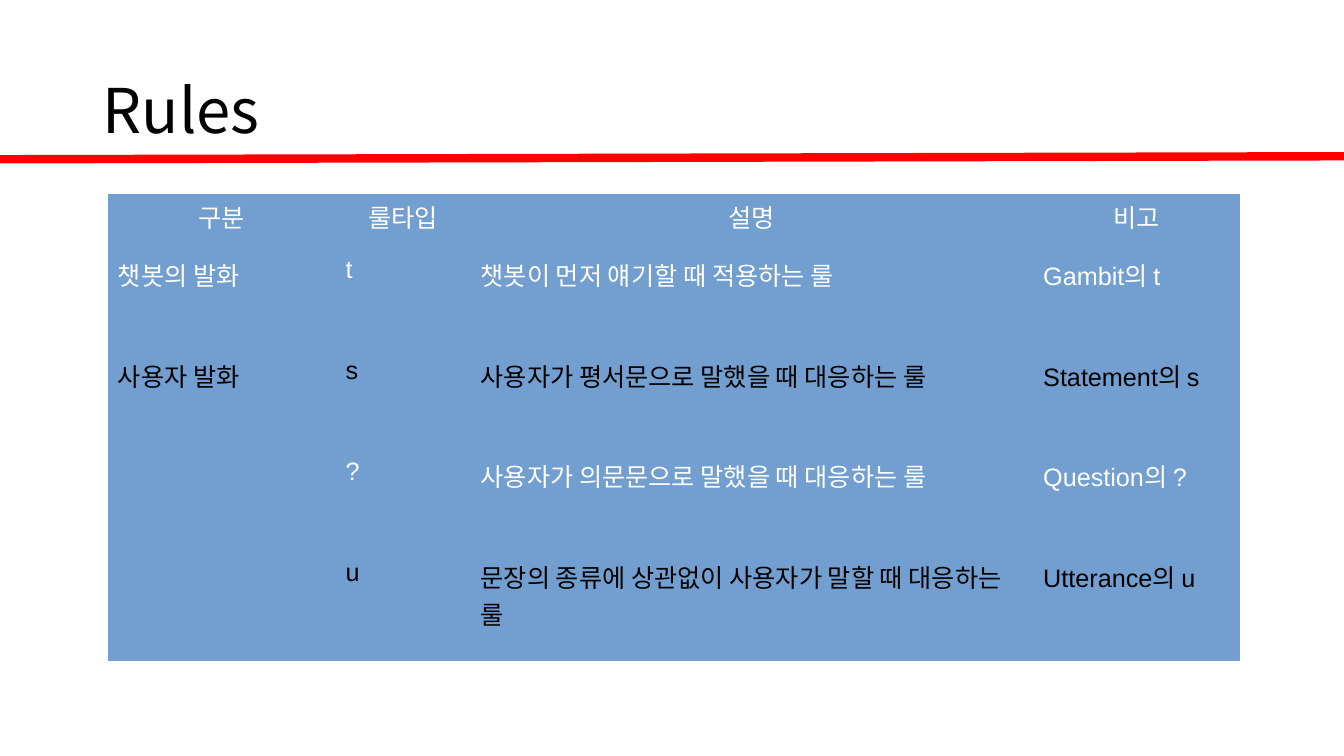
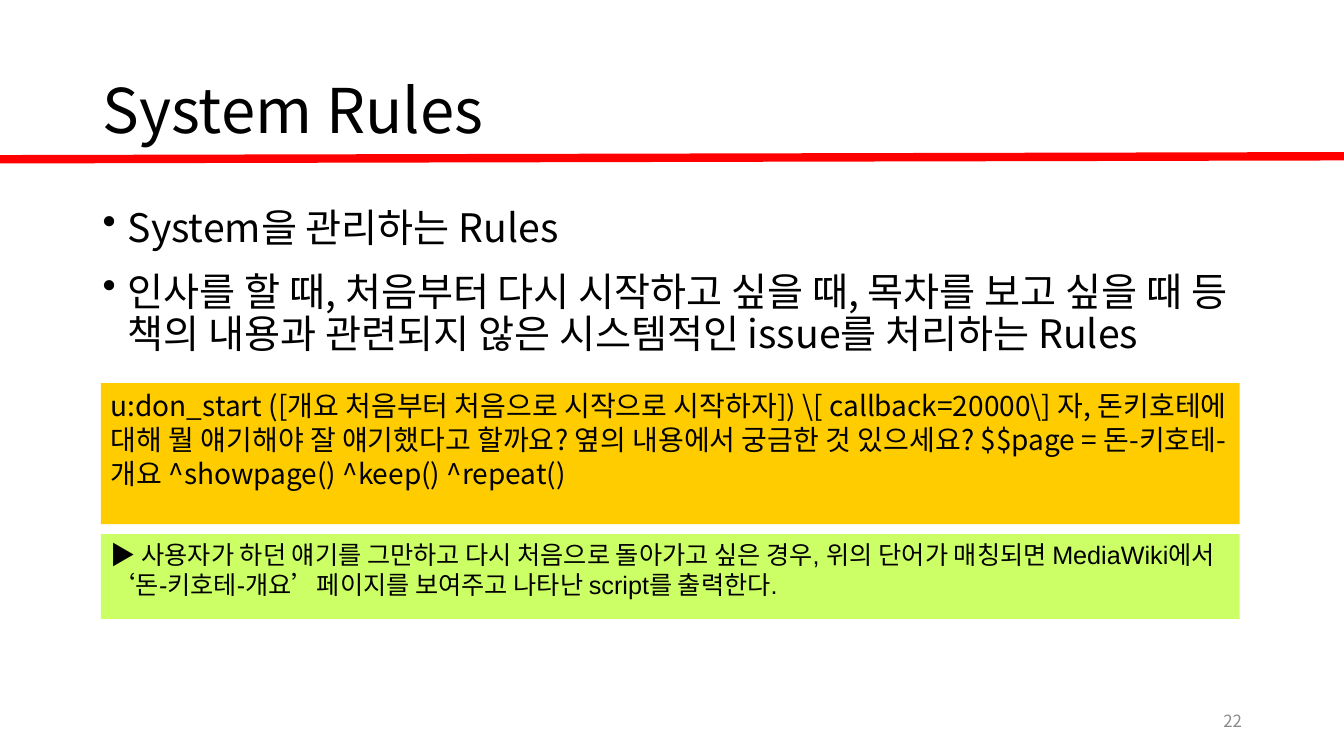
"""Build two slides about chatbot rules."""
from dataclasses import dataclass
from typing import Any, Optional

from lxml.etree import SubElement
from pptx import Presentation
from pptx.dml.color import RGBColor
from pptx.enum.shapes import MSO_CONNECTOR, MSO_SHAPE
from pptx.enum.text import MSO_ANCHOR, PP_ALIGN
from pptx.oxml.ns import qn
from pptx.util import Pt

BLACK = RGBColor(0x00, 0x00, 0x00)
WHITE = RGBColor(0xFF, 0xFF, 0xFF)
RED = RGBColor(0xFF, 0x00, 0x00)
BLUE = RGBColor(0x72, 0x9F, 0xCF)
ORANGE = RGBColor(0xFF, 0xCC, 0x00)
LIME = RGBColor(0xCC, 0xFF, 0x66)
GRAY = RGBColor(0x8B, 0x8B, 0x8B)
NOTO = "Noto Sans CJK KR"
ARIAL = "Arial"
NO_GRID_STYLE = "{2D5ABB26-0587-4C30-8999-92F81FD0307C}"

COLUMNS = (162.72, 96.48, 401.76, 147.6)
ROWS = (41.04, 72, 72, 72, 77.04)
RULES = (
    ("구분", "룰타입", "설명", "비고"),
    ("챗봇의 발화", "t", "챗봇이 먼저 얘기할 때 적용하는 룰", "Gambit의 t"),
    ("사용자 발화", "s", "사용자가 평서문으로 말했을 때 대응하는 룰", "Statement의 s"),
    ("", "?", "사용자가 의문문으로 말했을 때 대응하는 룰", "Question의 ?"),
    ("", "u", "문장의 종류에 상관없이 사용자가 말할 때 대응하는 룰", "Utterance의 u"),
)
ROW_COLORS = (WHITE, WHITE, BLACK, WHITE, BLACK)
BULLETS = (
    "System을 관리하는 Rules",
    "인사를 할 때, 처음부터 다시 시작하고 싶을 때, 목차를 보고 싶을 때 "
    "등 책의 내용과 관련되지 않은 시스템적인 issue를 처리하는 Rules",
)
CODE = (
    "u:don_start ([개요 처음부터 처음으로 시작으로 시작하자]) \\[ callback=20000\\] 자, "
    "돈키호테에 대해 뭘 얘기해야 잘 얘기했다고 할까요? 옆의 내용에서 궁금한 것 있으세요? "
    "$$page = 돈-키호테-개요 ^showpage() ^keep() ^repeat()"
)
NOTE = (
    "▶ 사용자가 하던 얘기를 그만하고 다시 처음으로 돌아가고 싶은 경우, 위의 단어가 매칭되면 "
    "MediaWiki에서 ‘돈-키호테-개요’페이지를 보여주고 나타난 script를 출력한다."
)


@dataclass(frozen=True)
class Style:
    """Format of a paragraph and its text."""
    size: float
    font: str = NOTO
    color: RGBColor = BLACK
    align: PP_ALIGN = PP_ALIGN.LEFT
    spacing: Any = 1.0
    bullet: bool = False


@dataclass(frozen=True)
class Box:
    """Place, text and look of a box."""
    left: float
    top: float
    width: float
    height: float
    lines: tuple[str, ...]
    style: Style
    anchor: MSO_ANCHOR = MSO_ANCHOR.TOP
    fill: Optional[RGBColor] = None


TITLE = Style(44, spacing=0.9)
SYSTEM_BOXES = (
    Box(66.24, 145, 828, 342.72, BULLETS, Style(28, spacing=Pt(30), bullet=True)),
    Box(678.24, 500.4, 216, 28.8, ("22",),
        Style(12, color=GRAY, align=PP_ALIGN.RIGHT), MSO_ANCHOR.MIDDLE),
    Box(72, 273.6, 813.6, 100.8, (CODE,), Style(20, spacing=Pt(24.3)), fill=ORANGE),
    Box(72, 381.6, 813.6, 60.48, (NOTE,), Style(18, ARIAL, spacing=Pt(21.4)), fill=LIME),
)


def set_all(target: Any, values: dict[str, Any]) -> None:
    """Set each named attribute of the target."""
    for name, value in values.items():
        setattr(target, name, value)


def write(p: Any, text: str, style: Style) -> None:
    """Write one formatted paragraph."""
    if style.bullet:
        pPr = p._p.get_or_add_pPr()
        pPr.set("marL", str(Pt(18)))
        pPr.set("indent", str(-Pt(18)))
        color = SubElement(pPr, qn("a:buClr"))
        SubElement(color, qn("a:srgbClr"), val=str(BLACK))
        SubElement(pPr, qn("a:buChar"), char="•")
    set_all(p, {"alignment": style.align, "line_spacing": style.spacing})
    r = p.add_run()
    r.text = text
    set_all(r.font, {"name": style.font, "size": Pt(style.size), "bold": False})
    r.font.color.rgb = style.color
    SubElement(r._r.get_or_add_rPr(), qn("a:ea"), typeface=NOTO)


def add_box(s: Any, box: Box) -> None:
    """Draw a text box, or a filled rectangle with text."""
    place = [Pt(v) for v in (box.left, box.top, box.width, box.height)]
    if box.fill is None:
        sp = s.shapes.add_textbox(*place)
    else:
        sp = s.shapes.add_shape(MSO_SHAPE.RECTANGLE, *place)
        sp.shadow.inherit = False
        sp.fill.solid()
        sp.fill.fore_color.rgb = box.fill
        sp.line.fill.background()
    tf = sp.text_frame
    set_all(tf, {"word_wrap": True, "vertical_anchor": box.anchor})
    for i, text in enumerate(box.lines):
        p = tf.add_paragraph() if i else tf.paragraphs[0]
        if i:
            p.space_before = Pt(15.8)
        write(p, text, box.style)


def add_titled_slide(prs: Any, title: str) -> Any:
    """Add a slide with its title and red line."""
    s = prs.slides.add_slide(prs.slide_layouts[6])
    add_box(s, Box(66.24, 28.8, 828, 104.4, (title,), TITLE, MSO_ANCHOR.MIDDLE))
    line = s.shapes.add_connector(
        MSO_CONNECTOR.STRAIGHT, Pt(0), Pt(113.76), Pt(960), Pt(111.6))
    line.line.color.rgb = RED
    line.line.width = Pt(6)
    SubElement(line._element.spPr, qn("a:effectLst"))
    return s


def add_rules_table(s: Any) -> None:
    """Draw the table of rule types."""
    frame = s.shapes.add_table(
        len(ROWS), len(COLUMNS), Pt(77.04), Pt(138.24), Pt(sum(COLUMNS)), Pt(sum(ROWS)))
    table = frame.table
    table._tbl.tblPr.find(qn("a:tableStyleId")).text = NO_GRID_STYLE
    for column, width in zip(table.columns, COLUMNS):
        column.width = Pt(width)
    for i, (height, texts, color) in enumerate(zip(ROWS, RULES, ROW_COLORS)):
        table.rows[i].height = Pt(height)
        align = PP_ALIGN.LEFT if i else PP_ALIGN.CENTER
        for j, text in enumerate(texts):
            cell = table.cell(i, j)
            cell.fill.solid()
            cell.fill.fore_color.rgb = BLUE
            if text:
                write(cell.text_frame.paragraphs[0], text, Style(18, ARIAL, color, align))
    table.cell(2, 0).merge(table.cell(4, 0))


def main() -> None:
    """Build and save the presentation."""
    prs = Presentation()
    set_all(prs, {"slide_width": Pt(960), "slide_height": Pt(540)})
    add_rules_table(add_titled_slide(prs, "Rules"))
    s = add_titled_slide(prs, "System Rules")
    for box in SYSTEM_BOXES:
        add_box(s, box)
    prs.save("out.pptx")


if __name__ == "__main__":
    main()
